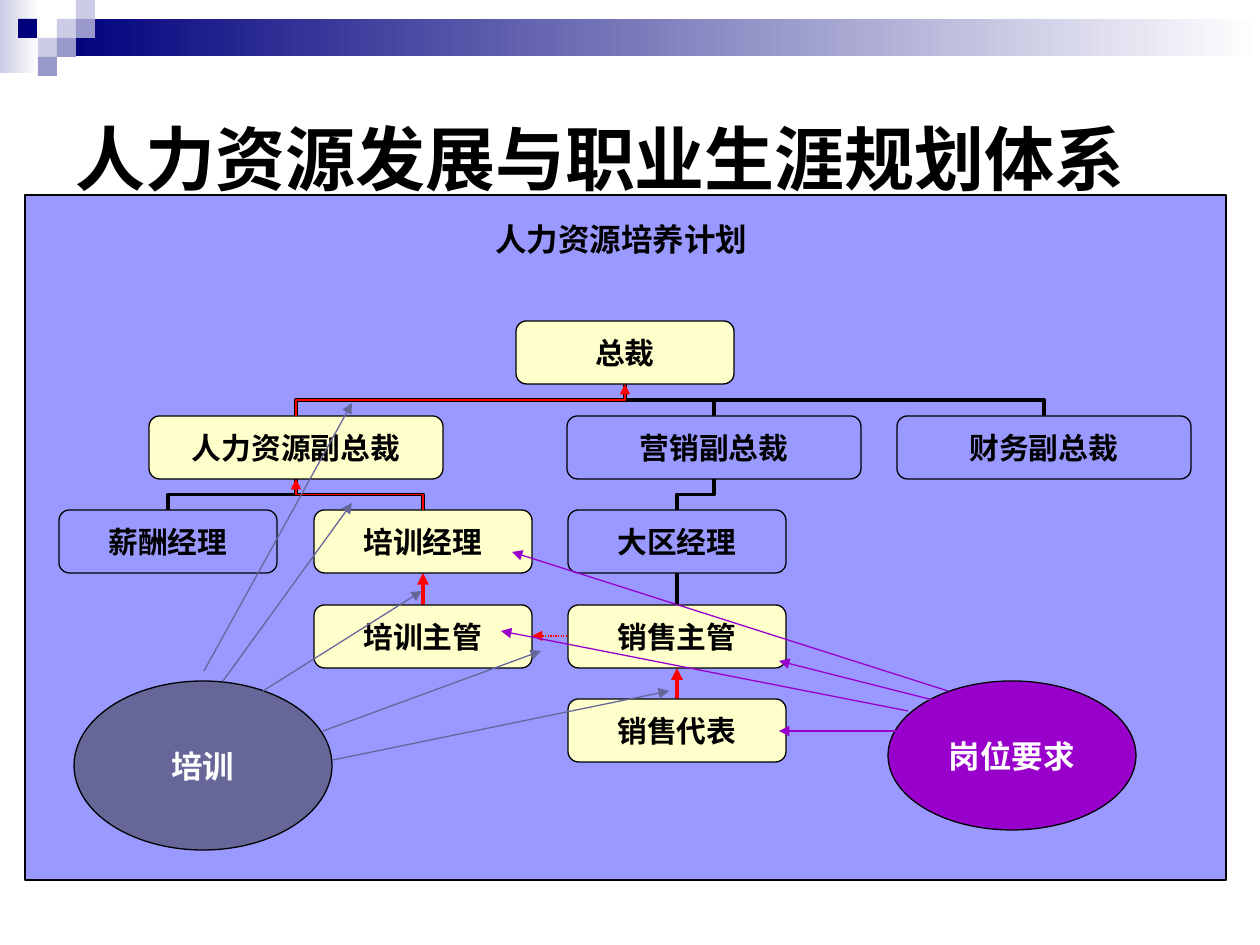
from lxml.etree import SubElement
from pptx import Presentation
from pptx.dml.color import RGBColor
from pptx.enum.dml import MSO_LINE
from pptx.enum.shapes import MSO_CONNECTOR, MSO_SHAPE
from pptx.enum.text import MSO_ANCHOR, MSO_AUTO_SIZE, PP_ALIGN
from pptx.oxml.ns import qn
from pptx.util import Pt

EMU_PER_PX = 914400 / 126
BLACK, WHITE, RED = "000000", "FFFFFF", "FF0000"
NAVY, LILAC, MIST = "00007D", "9999CC", "CCCCE6"
PANEL, CREAM, SLATE, PURPLE = "9999FF", "FFFFCC", "666699", "9900CC"


def px(n):
    return round(n * EMU_PER_PX)


def rgb(hex_string):
    return RGBColor.from_string(hex_string)


class Builder:
    font = "Arial"

    def __init__(self, prs):
        self.slide = prs.slides.add_slide(prs.slide_layouts[5])
        self.shapes = self.slide.shapes

    def set_text(self, sp, text, size, color=BLACK, align=PP_ALIGN.CENTER,
                 anchor=MSO_ANCHOR.MIDDLE, wrap=False):
        tf = sp.text_frame
        tf.text = text
        tf.word_wrap = wrap
        tf.auto_size = MSO_AUTO_SIZE.NONE
        tf.vertical_anchor = anchor
        p = tf.paragraphs[0]
        p.alignment = align
        p.font.name, p.font.size, p.font.bold = self.font, Pt(size), True
        p.font.color.rgb = rgb(color)

    def title(self, text, x, y, w, h):
        sp = self.shapes.title
        sp.left, sp.top, sp.width, sp.height = map(px, (x, y, w, h))
        self.set_text(sp, text, 40, align=PP_ALIGN.LEFT, wrap=True)

    def label(self, text, x, y, w, h, size):
        sp = self.shapes.add_textbox(*map(px, (x, y, w, h)))
        self.set_text(sp, text, size, align=PP_ALIGN.LEFT, anchor=MSO_ANCHOR.TOP)

    def shape(self, kind, x, y, w, h, fill, line=None):
        sp = self.shapes.add_shape(kind, *map(px, (x, y, w, h)))
        sp.shadow.inherit = False
        sp.fill.solid()
        sp.fill.fore_color.rgb = rgb(fill)
        if line:
            sp.line.color.rgb = rgb(line)
            sp.line.width = Pt(0.75)
        else:
            sp.line.fill.background()
        return sp

    def fade(self, x, y, w, h, color):
        """Rectangle that fades from color on the left to white."""
        sp = self.shape(MSO_SHAPE.RECTANGLE, x, y, w, h, color)
        sp.fill.gradient()
        sp.fill.gradient_angle = 0
        for stop, c in zip(sp.fill.gradient_stops, (color, WHITE)):
            stop.color.rgb = rgb(c)

    def node(self, kind, x, y, w, h, fill, text, size, color=BLACK):
        self.set_text(self.shape(kind, x, y, w, h, fill, BLACK), text, size, color)

    def line(self, start, end, color, width=0.75, arrow=True, dash=None,
             kind=MSO_CONNECTOR.STRAIGHT):
        cn = self.shapes.add_connector(kind, *map(px, (*start, *end)))
        cn.line.color.rgb = rgb(color)
        cn.line.width = Pt(width)
        if dash:
            cn.line.dash_style = dash
        if arrow:
            ln = cn._element.spPr.find(qn("a:ln"))
            SubElement(ln, qn("a:tailEnd"), type="triangle")
        SubElement(cn._element.spPr, qn("a:effectLst"))
        return cn

    def elbow(self, start, end, color, width=0.75, arrow=True):
        """Up, across, up: a sideways elbow turned by 270 degrees about its centre."""
        (x1, y1), (x2, y2) = start, end
        if x1 == x2:
            return self.line(start, end, color, width, arrow)
        cx, cy = (x1 + x2) / 2, (y1 + y2) / 2
        run, rise = (x1 - x2) / 2, (y1 - y2) / 2
        cn = self.line((cx - rise, cy + run), (cx + rise, cy - run),
                       color, width, arrow, kind=MSO_CONNECTOR.ELBOW)
        cn._element.spPr.find(qn("a:xfrm")).set("rot", str(270 * 60000))
        return cn


# Organisation chart: name -> (centre x, row, width, fill)
ROW_TOPS = (321, 416, 510, 605, 699)
BOX_H, NARROW, WIDE = 63, 218, 294
STAFF = {
    "总裁": (625, 0, NARROW, CREAM),
    "人力资源副总裁": (296, 1, WIDE, CREAM),
    "营销副总裁": (714, 1, WIDE, PANEL),
    "财务副总裁": (1044, 1, WIDE, PANEL),
    "薪酬经理": (168, 2, NARROW, PANEL),
    "培训经理": (423, 2, NARROW, CREAM),
    "大区经理": (677, 2, NARROW, PANEL),
    "销售主管": (677, 3, NARROW, CREAM),
    "销售代表": (677, 4, NARROW, CREAM),
    "培训主管": (423, 3, NARROW, CREAM),
}
REPORTS = [
    ("销售主管", "大区经理"), ("大区经理", "营销副总裁"),
    ("培训经理", "人力资源副总裁"), ("薪酬经理", "人力资源副总裁"),
    ("财务副总裁", "总裁"), ("营销副总裁", "总裁"), ("人力资源副总裁", "总裁"),
]
PROMOTIONS = [("培训主管", "培训经理"), ("销售代表", "销售主管")]
CAREER_STEPS = [("培训经理", "人力资源副总裁"), ("人力资源副总裁", "总裁")]

TRAINING_ARROWS = [
    ((333, 760), (669, 691)), ((323, 731), (541, 651)), ((263, 691), (422, 591)),
    ((223, 681), (352, 503)), ((204, 671), (352, 403)),
]
REQUIREMENT_ARROWS = [
    ((898, 731), (779, 731)), ((937, 701), (779, 661)),
    ((908, 711), (501, 631)), ((948, 691), (512, 552)),
]


def link(child, parent):
    """Top of the child's box and bottom of the parent's box."""
    x1, row1 = STAFF[child][:2]
    x2, row2 = STAFF[parent][:2]
    return (x1, ROW_TOPS[row1]), (x2, ROW_TOPS[row2] + BOX_H)


def draw_header(b):
    b.fade(0, 0, 39, 73, MIST)
    b.fade(57, 19, 1203, 37, NAVY)
    tile = 19
    for x, y, color in [(57, 19, MIST), (76, 0, MIST), (76, 19, LILAC), (38, 38, MIST),
                        (18, 19, NAVY), (57, 38, LILAC), (38, 57, LILAC)]:
        b.shape(MSO_SHAPE.RECTANGLE, x, y, tile, tile, color)


def draw_chart(b):
    for pair in PROMOTIONS:
        b.elbow(*link(*pair), RED, 2.25)
    for pair in REPORTS:
        b.elbow(*link(*pair), BLACK, 2.25, arrow=False)
    for name, (cx, row, w, fill) in STAFF.items():
        b.node(MSO_SHAPE.ROUNDED_RECTANGLE, cx - w // 2, ROW_TOPS[row], w, BOX_H,
               fill, name, 17)
    b.line((567, 636), (532, 636), RED, dash=MSO_LINE.ROUND_DOT)
    for pair in CAREER_STEPS:
        b.elbow(*link(*pair), RED)


def main():
    prs = Presentation()
    prs.slide_width, prs.slide_height = px(1260), px(945)
    b = Builder(prs)
    draw_header(b)
    b.title("人力资源发展与职业生涯规划体系", 63, 63, 1134, 189)
    b.shape(MSO_SHAPE.RECTANGLE, 25, 195, 1201, 685, PANEL, BLACK)
    draw_chart(b)
    b.node(MSO_SHAPE.OVAL, 74, 681, 258, 169, SLATE, "培训", 18, WHITE)
    for start, end in TRAINING_ARROWS:
        b.line(start, end, SLATE)
    b.node(MSO_SHAPE.OVAL, 888, 681, 248, 149, PURPLE, "岗位要求", 18, WHITE)
    for start, end in REQUIREMENT_ARROWS:
        b.line(start, end, PURPLE)
    b.label("人力资源培养计划", 483, 214, 277, 50, 18)
    prs.save("out.pptx")


if __name__ == "__main__":
    main()
